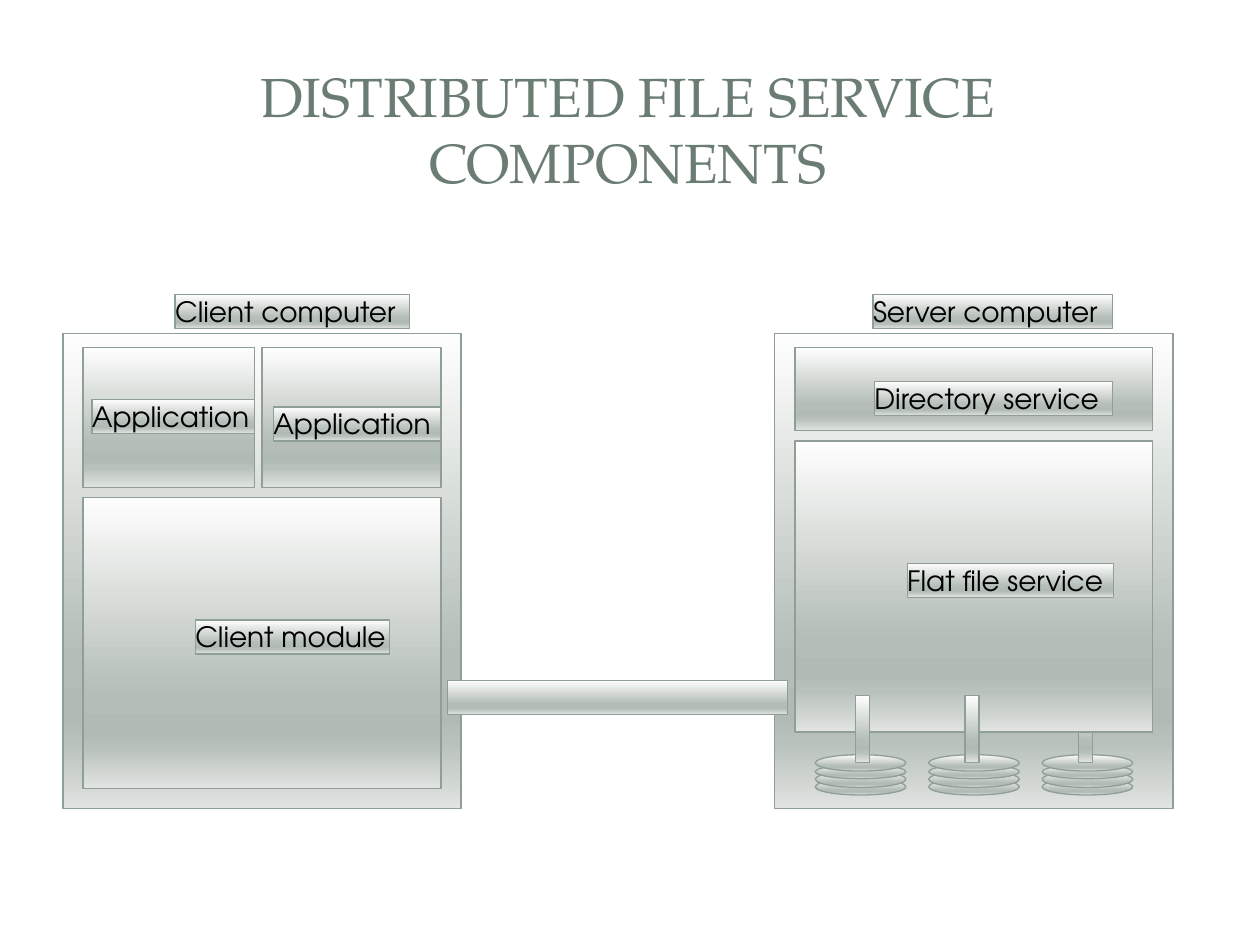
"""Builds a slide that shows the components of a distributed file service."""
from dataclasses import dataclass

from lxml import etree
from pptx import Presentation, util as u
from pptx.dml import color
from pptx.enum import shapes, text
from pptx.oxml import ns


@dataclass(frozen=True)
class Theme:
    """Colours, fonts and sizes of the slide."""
    title_color: str = "6B7D72"
    label_color: str = "000000"
    line_color: str = "8F9F96"
    gradient: tuple = ((0, "FEFEFE"), (68, "B4BDB7"), (81, "B1BBB5"),
                       (86, "B9C1BC"), (100, "E1E4E2"))
    title_font: str = "TeX Gyre Pagella"
    label_font: str = "TeX Gyre Adventor"
    title_size: float = 31.5
    label_size: float = 16
    line_width: float = 0.75


@dataclass(frozen=True)
class Box:
    """A rectangle in inches."""
    left: float
    top: float
    width: float
    height: float

    def inside(self, left, top, width, height):
        """Return a box placed relative to this one."""
        return Box(self.left + left, self.top + top, width, height)

    def lengths(self):
        """Return the four values as slide lengths."""
        return [u.Inches(value) for value in
                (self.left, self.top, self.width, self.height)]


THEME = Theme()
LABEL_HEIGHT = 0.27


def write_text(shape, words, *, font, size, rgb, align=text.PP_ALIGN.LEFT,
               anchor=text.MSO_ANCHOR.TOP, margin=0):
    """Write one formatted paragraph into a shape."""
    frame = shape.text_frame
    frame.word_wrap = True
    frame.vertical_anchor = anchor
    frame.margin_left = frame.margin_right = u.Inches(margin)
    frame.margin_top = frame.margin_bottom = u.Inches(margin / 2)
    paragraph = frame.paragraphs[0]
    paragraph.alignment = align
    run = paragraph.add_run()
    run.text = words
    run.font.name = font
    run.font.size = u.Pt(size)
    run.font.color.rgb = color.RGBColor.from_string(rgb)


def fill_gradient(shape):
    """Fill a shape from top to bottom with the theme gradient."""
    shape.fill.gradient()
    shape.fill.gradient_angle = 270
    stops = shape.element.spPr.find(".//" + ns.qn("a:gsLst"))
    for stop in list(stops):
        stops.remove(stop)
    for percent, rgb in THEME.gradient:
        stop = etree.SubElement(stops, ns.qn("a:gs"), pos=str(percent * 1000))
        etree.SubElement(stop, ns.qn("a:srgbClr"), val=rgb)


def add_panel(slide, box, kind=shapes.MSO_SHAPE.RECTANGLE):
    """Add a shaded and outlined shape."""
    shape = slide.shapes.add_shape(kind, *box.lengths())
    shape.shadow.inherit = False
    fill_gradient(shape)
    shape.line.color.rgb = color.RGBColor.from_string(THEME.line_color)
    shape.line.width = u.Pt(THEME.line_width)
    return shape


def add_label(slide, box, words):
    """Add a shaded panel with a label."""
    write_text(add_panel(slide, box), words, font=THEME.label_font,
               size=THEME.label_size, rgb=THEME.label_color)


def add_title(slide, box, words):
    """Add the centred slide title."""
    write_text(slide.shapes.add_textbox(*box.lengths()), words,
               font=THEME.title_font, size=THEME.title_size,
               rgb=THEME.title_color, align=text.PP_ALIGN.CENTER,
               anchor=text.MSO_ANCHOR.MIDDLE, margin=0.1)


def add_disk(slide, box, stem_left):
    """Add a stack of platters with a stem above it."""
    for top, height in ((0.66, 0.13), (0.6, 0.13), (0.55, 0.11), (0.47, 0.13)):
        add_panel(slide, box.inside(0, top, box.width, height),
                  shapes.MSO_SHAPE.OVAL)
    add_panel(slide, box.inside(stem_left, 0, 0.11, 0.53))


def add_client(slide, box):
    """Add the client computer with its applications and module."""
    add_panel(slide, box)
    add_label(slide, box.inside(0.89, -0.31, 1.86, LABEL_HEIGHT), "Client computer")
    for left, width, label_left, label_top in ((0.16, 1.36, 0.23, 0.52),
                                               (1.58, 1.42, 1.67, 0.58)):
        add_panel(slide, box.inside(left, 0.11, width, 1.11))
        label_width = left + width - label_left
        add_label(slide, box.inside(label_left, label_top, label_width, LABEL_HEIGHT),
                  "Application")
    add_panel(slide, box.inside(0.16, 1.3, 2.84, 2.31))
    add_label(slide, box.inside(1.05, 2.27, 1.54, LABEL_HEIGHT), "Client module")


def add_server(slide, box):
    """Add the server computer with its services and disks."""
    first, second, third = (box.inside(0.32 + 0.9 * index, 2.87, 0.72, 0.79)
                            for index in range(3))
    add_panel(slide, box)
    add_label(slide, box.inside(0.78, -0.31, 1.9, LABEL_HEIGHT), "Server computer")
    add_disk(slide, third, 0.29)
    add_panel(slide, box.inside(0.16, 0.85, 2.84, 2.31))
    add_label(slide, box.inside(1.05, 1.82, 1.64, LABEL_HEIGHT), "Flat file service")
    add_panel(slide, box.inside(0.16, 0.11, 2.84, 0.66))
    add_label(slide, box.inside(0.79, 0.38, 1.89, LABEL_HEIGHT), "Directory service")
    add_disk(slide, second, 0.29)
    add_disk(slide, first, 0.32)


def main():
    """Build and save the presentation."""
    presentation = Presentation()
    presentation.slide_width = u.Inches(10)
    presentation.slide_height = u.Inches(7.5)
    slide = presentation.slides.add_slide(presentation.slide_layouts[6])
    add_title(slide, Box(0.47, 0.45, 9.03, 1.14),
              "DISTRIBUTED FILE SERVICE COMPONENTS")
    add_client(slide, Box(0.5, 2.65, 3.16, 3.77))
    add_server(slide, Box(6.15, 2.65, 3.16, 3.77))
    add_panel(slide, Box(3.55, 5.4, 2.7, 0.27))
    presentation.save("out.pptx")


if __name__ == "__main__":
    main()
